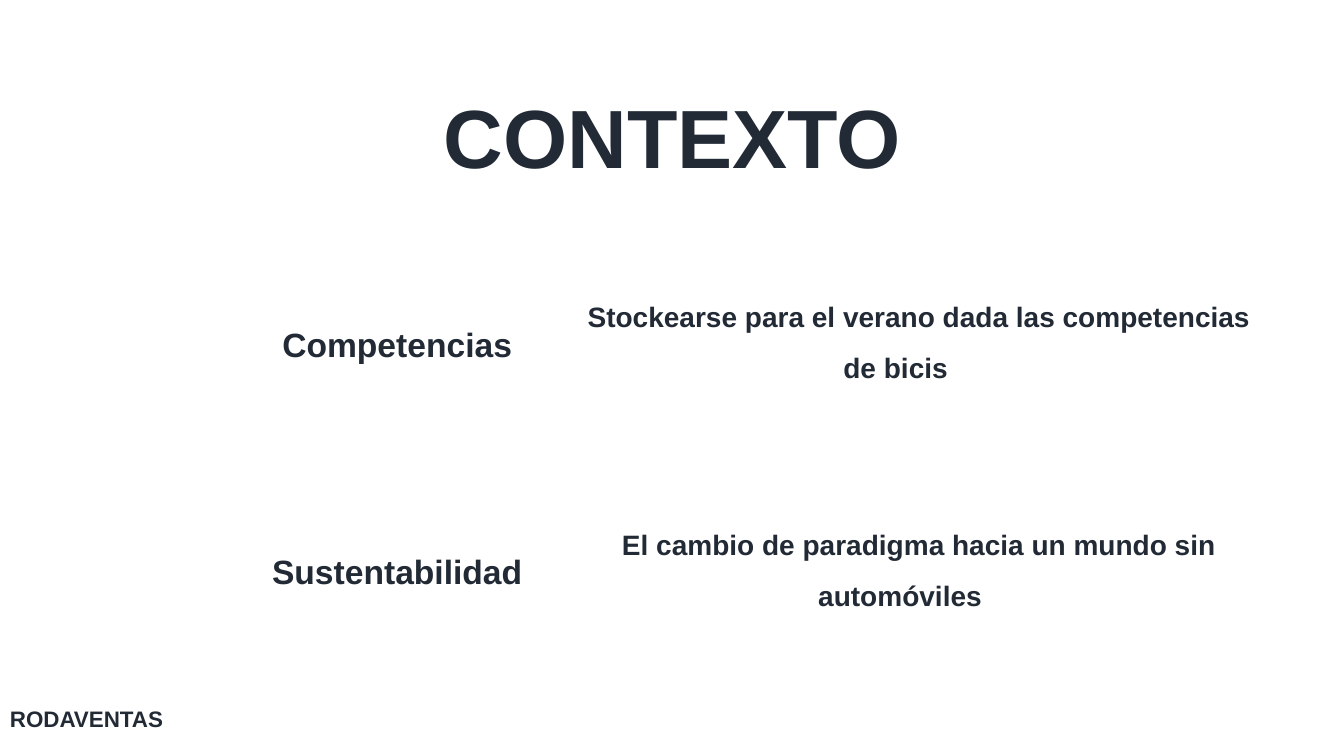
from dataclasses import dataclass

from lxml import etree
from pptx import Presentation
from pptx.dml.color import RGBColor
from pptx.enum.shapes import MSO_SHAPE
from pptx.enum.text import MSO_ANCHOR, PP_ALIGN
from pptx.oxml.ns import qn
from pptx.util import Inches, Pt

ROUND = MSO_SHAPE.ROUNDED_RECTANGLE
MIDDLE = MSO_ANCHOR.MIDDLE
CENTER = PP_ALIGN.CENTER

WIDE, HIGH = Inches(13.33), Inches(7.5)
FONT = "Arial"
COLORS = {"ink": "222A35", "card": "FFFFFF"}
OPACITY = 58

ROW_TOP, ROW_STEP, ROW_HIGH = 35.73, 30.13, 16.8
TERM_LEFT, TERM_WIDE, TERM_SIZE = 17.85, 23.41, 24
NOTE_LEFT, NOTE_WIDE, NOTE_SIZE = 42.61, 51.54, 20

ROWS = [
    ("Competencias", "Stockearse para el verano dada las competencias de bicis \t"),
    ("Sustentabilidad", "El cambio de paradigma hacia un mundo sin automóviles\t"),
]


@dataclass
class Box:
    left: float
    top: float
    wide: float
    high: float
    text: str
    size: int

    def place(self) -> tuple[int, int, int, int]:
        return (
            round(WIDE * self.left / 100),
            round(HIGH * self.top / 100),
            round(WIDE * self.wide / 100),
            round(HIGH * self.high / 100),
        )


def write(frame, box: Box, space: float) -> None:
    frame.word_wrap = True
    para = frame.paragraphs[0]
    para.text = box.text
    para.line_spacing = space
    para.font.name = FONT
    para.font.size = Pt(box.size)
    para.font.bold = True
    para.font.color.rgb = RGBColor.from_string(COLORS["ink"])


def draw_card(slide, box: Box) -> None:
    card = slide.shapes.add_shape(ROUND, *box.place())
    card.adjustments[0] = 0.08
    card.shadow.inherit = False
    card.line.fill.background()
    card.fill.solid()
    card.fill.fore_color.rgb = RGBColor.from_string(COLORS["card"])
    tint = card.fill._xPr.find(qn("a:solidFill"))[0]
    etree.SubElement(tint, qn("a:alpha")).set("val", str(OPACITY * 1000))
    frame = card.text_frame
    frame.vertical_anchor = MIDDLE
    write(frame, box, 1.5)
    frame.paragraphs[0].alignment = CENTER


def draw_label(slide, box: Box) -> None:
    label = slide.shapes.add_textbox(*box.place())
    write(label.text_frame, box, 0.9)


def main() -> None:
    deck = Presentation()
    deck.slide_width, deck.slide_height = WIDE, HIGH
    slide = deck.slides.add_slide(deck.slide_layouts[6])

    draw_label(slide, Box(0, 93.07, 29.48, 3.07, "RODAVENTAS", 16))
    for row, (term, note) in enumerate(ROWS):
        top = ROW_TOP + row * ROW_STEP
        draw_card(slide, Box(TERM_LEFT, top, TERM_WIDE, ROW_HIGH, term, TERM_SIZE))
        draw_card(slide, Box(NOTE_LEFT, top, NOTE_WIDE, ROW_HIGH, note, NOTE_SIZE))
    draw_card(slide, Box(31.21, 7.2, 37.66, 14.93, "CONTEXTO", 59))

    deck.save("out.pptx")


if __name__ == "__main__":
    main()
